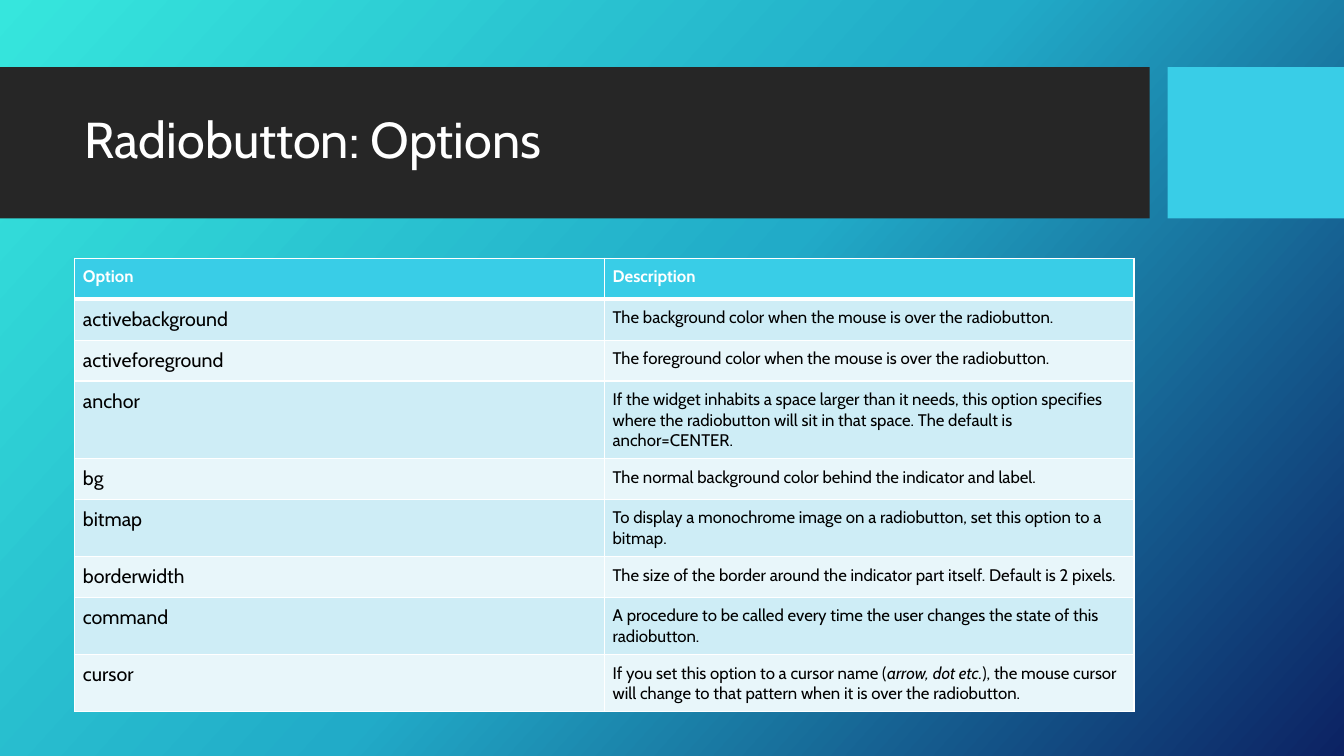
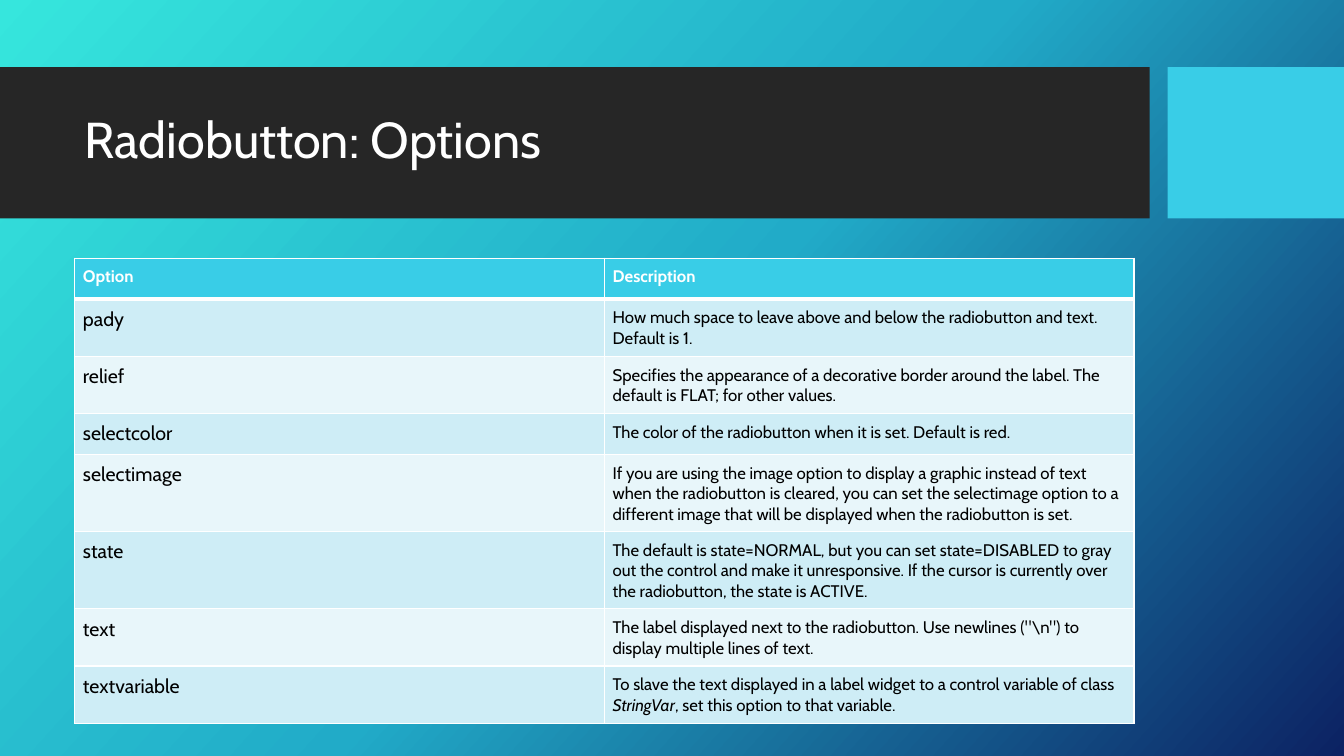
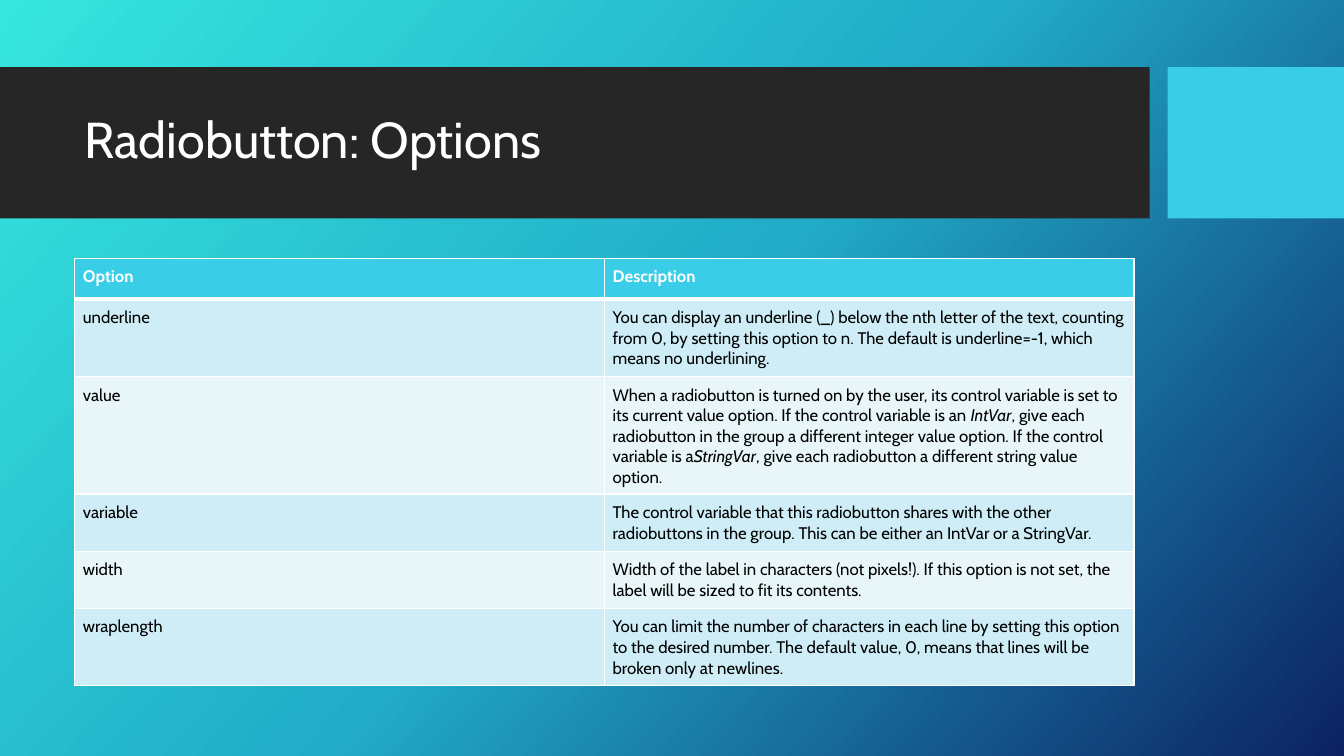
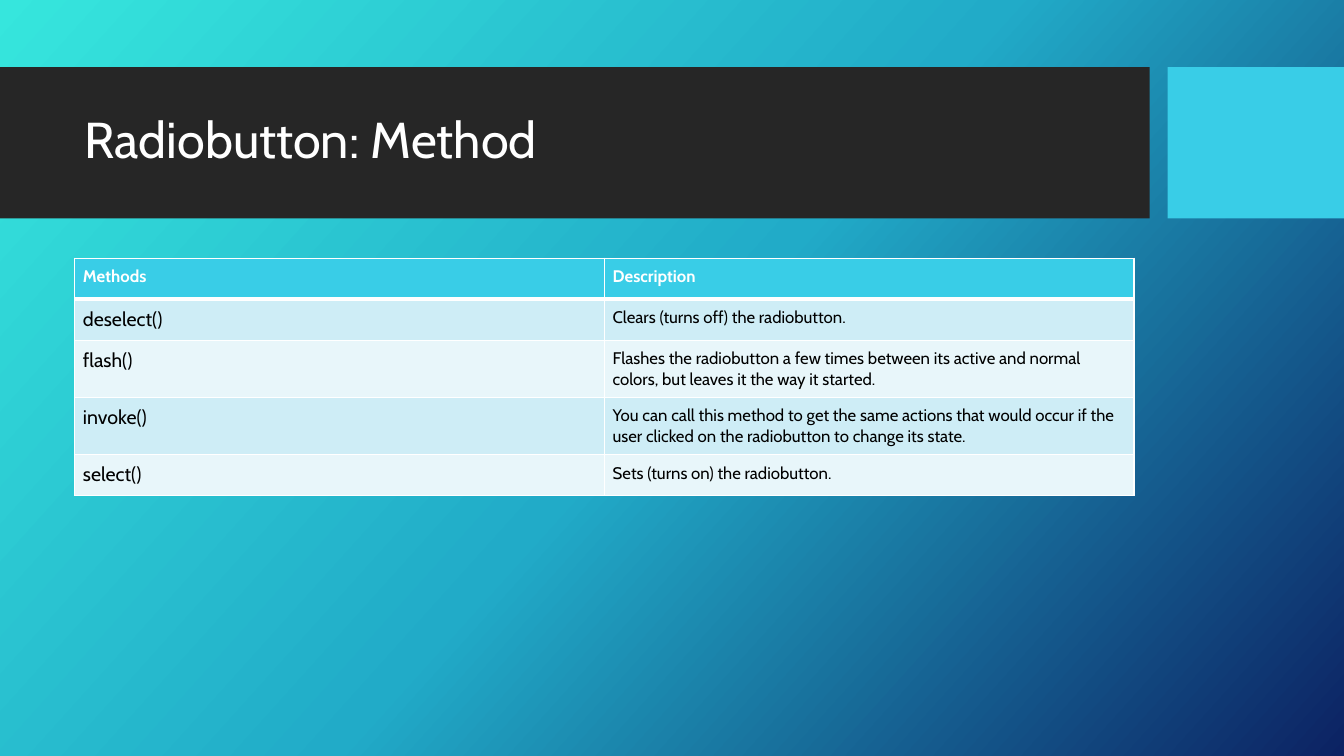
from copy import deepcopy

from lxml import etree
from pptx import Presentation
from pptx.dml.color import RGBColor
from pptx.enum.shapes import MSO_SHAPE
from pptx.enum.text import MSO_ANCHOR
from pptx.oxml.ns import qn
from pptx.util import Pt

RECT = MSO_SHAPE.RECTANGLE
MIDDLE = MSO_ANCHOR.MIDDLE
SCALE = 9525

WHITE = RGBColor(0xFF, 0xFF, 0xFF)
BLACK = RGBColor(0x00, 0x00, 0x00)
DARK = RGBColor(0x26, 0x26, 0x26)
CYAN = RGBColor(0x39, 0xCD, 0xE7)
PALE = RGBColor(0xCE, 0xED, 0xF6)
LIGHT = RGBColor(0xE8, 0xF6, 0xFA)
STOPS = [(0, RGBColor(0x36, 0xE6, 0xDD)),
         (0.5, RGBColor(0x21, 0xAB, 0xC8)),
         (1, RGBColor(0x0C, 0x22, 0x63))]

LEFT, WIDTH = 71, 1009
BANDS = [((0, 64, 1095, 144), DARK), ((1112, 64, 168, 144), CYAN)]

BASE = {"name": "Cabin", "size": Pt(12), "bold": False}
TITLE = BASE | {"size": Pt(36), "color": WHITE}
HEAD = BASE | {"bold": True, "color": WHITE}
BODY = BASE | {"color": BLACK}

# Asterisks enclose italic words.
FIRST = [
    ("Option", "Description"),
    ("activebackground", "The background color when the mouse is over the radiobutton."),
    ("activeforeground", "The foreground color when the mouse is over the radiobutton."),
    ("anchor", "If the widget inhabits a space larger than it needs, this option specifies "
     "where the radiobutton will sit in that space. The default is anchor=CENTER."),
    ("bg", "The normal background color behind the indicator and label."),
    ("bitmap", "To display a monochrome image on a radiobutton, set this option to a bitmap."),
    ("borderwidth", "The size of the border around the indicator part itself. "
     "Default is 2 pixels."),
    ("command", "A procedure to be called every time the user changes the state of this "
     "radiobutton."),
    ("cursor", "If you set this option to a cursor name (*arrow, dot etc.*), the mouse cursor "
     "will change to that pattern when it is over the radiobutton."),
]
SECOND = [
    ("Option", "Description"),
    ("pady", "How much space to leave above and below the radiobutton and text. "
     "Default is 1."),
    ("relief", "Specifies the appearance of a decorative border around the label. "
     "The default is FLAT; for other values."),
    ("selectcolor", "The color of the radiobutton when it is set. Default is red."),
    ("selectimage", "If you are using the image option to display a graphic instead of text "
     "when the radiobutton is cleared, you can set the selectimage option to a different "
     "image that will be displayed when the radiobutton is set."),
    ("state", "The default is state=NORMAL, but you can set state=DISABLED to gray out the "
     "control and make it unresponsive. If the cursor is currently over the radiobutton, "
     "the state is ACTIVE."),
    ("text", 'The label displayed next to the radiobutton. Use newlines ("\\n") to display '
     "multiple lines of text."),
    ("textvariable", "To slave the text displayed in a label widget to a control variable of "
     "class *StringVar*, set this option to that variable."),
]
THIRD = [
    ("Option", "Description"),
    ("underline", "You can display an underline (_) below the nth letter of the text, "
     "counting from 0, by setting this option to n. The default is underline=-1, which "
     "means no underlining."),
    ("value", "When a radiobutton is turned on by the user, its control variable is set to "
     "its current value option. If the control variable is an *IntVar*, give each "
     "radiobutton in the group a different integer value option. If the control variable "
     "is a*StringVar*, give each radiobutton a different string value option."),
    ("variable", "The control variable that this radiobutton shares with the other "
     "radiobuttons in the group. This can be either an IntVar or a StringVar."),
    ("width", "Width of the label in characters (not pixels!). If this option is not set, "
     "the label will be sized to fit its contents."),
    ("wraplength", "You can limit the number of characters in each line by setting this "
     "option to the desired number. The default value, 0, means that lines will be broken "
     "only at newlines."),
]
METHODS = [
    ("Methods", "Description"),
    ("deselect()", "Clears (turns off) the radiobutton."),
    ("flash()", "Flashes the radiobutton a few times between its active and normal colors, "
     "but leaves it the way it started."),
    ("invoke()", "You can call this method to get the same actions that would occur if the "
     "user clicked on the radiobutton to change its state."),
    ("select()", "Sets (turns on) the radiobutton."),
]
# Title, size of the names in the first column, rows
PAGES = [
    ("Radiobutton: Options", 14, FIRST),
    ("Radiobutton: Options", 14, SECOND),
    ("Radiobutton: Options", 12, THIRD),
    ("Radiobutton: Method", 14, METHODS),
]


def px(*sizes):
    return [size * SCALE for size in sizes]


def paint(layout):
    """Give the layout its gradient of three colours."""
    fill = layout.background.fill
    fill.gradient()
    fill.gradient_angle = 360 - 42
    stops = layout.element.find(".//" + qn("a:gsLst"))
    stops.append(deepcopy(stops[-1]))
    for stop, (place, color) in zip(fill.gradient_stops, STOPS):
        stop.position = place
        stop.color.rgb = color


def write(frame, text, style):
    """Fill the first paragraph, with the words between asterisks in italics."""
    para = frame.paragraphs[0]
    for index, part in enumerate(text.split("*")):
        run = para.add_run()
        run.text = part
        run.font.italic = index % 2 == 1
        for key, value in style.items():
            if key == "color":
                run.font.color.rgb = value
            else:
                setattr(run.font, key, value)
    return para


def add_band(slide, box, color):
    band = slide.shapes.add_shape(RECT, *px(*box))
    band.shadow.inherit = False
    band.fill.solid()
    band.fill.fore_color.rgb = color
    band.line.fill.background()


def add_title(slide, text):
    frame = slide.shapes.add_textbox(*px(LEFT, 79, WIDTH, 113)).text_frame
    frame.word_wrap = True
    frame.vertical_anchor = MIDDLE
    write(frame, text, TITLE).line_spacing = 0.9


def edge(cell, row):
    """Draw white cell borders, thick between the header and the body."""
    props = cell._tc.get_or_add_tcPr()
    thick = {"B": row == 0, "T": row == 1}
    for side in "LRTB":
        width = Pt(3 if thick.get(side) else 1)
        line = etree.SubElement(props, qn("a:ln" + side), w=str(width))
        fill = etree.SubElement(line, qn("a:solidFill"))
        etree.SubElement(fill, qn("a:srgbClr"), val=str(WHITE))


def fill_cell(cell, text, row, style):
    edge(cell, row)
    cell.fill.solid()
    cell.fill.fore_color.rgb = CYAN if row == 0 else (LIGHT, PALE)[row % 2]
    for side in ("left", "right", "top", "bottom"):
        setattr(cell, "margin_" + side, 8 * SCALE)
    write(cell.text_frame, text, style)


def add_grid(slide, rows, size):
    high = 39
    box = px(LEFT, 246, WIDTH, high * len(rows))
    table = slide.shapes.add_table(len(rows), 2, *box).table
    names = BODY | {"size": Pt(size)}
    for r, texts in enumerate(rows):
        table.rows[r].height = high * SCALE
        styles = (HEAD, HEAD) if r == 0 else (names, BODY)
        for c, (text, style) in enumerate(zip(texts, styles)):
            fill_cell(table.cell(r, c), text, r, style)


def main():
    deck = Presentation()
    deck.slide_width, deck.slide_height = px(1280, 720)
    blank = deck.slide_layouts[6]
    paint(blank)
    for title, size, rows in PAGES:
        slide = deck.slides.add_slide(blank)
        for box, color in BANDS:
            add_band(slide, box, color)
        add_title(slide, title)
        add_grid(slide, rows, size)
    deck.save("out.pptx")


if __name__ == "__main__":
    main()
